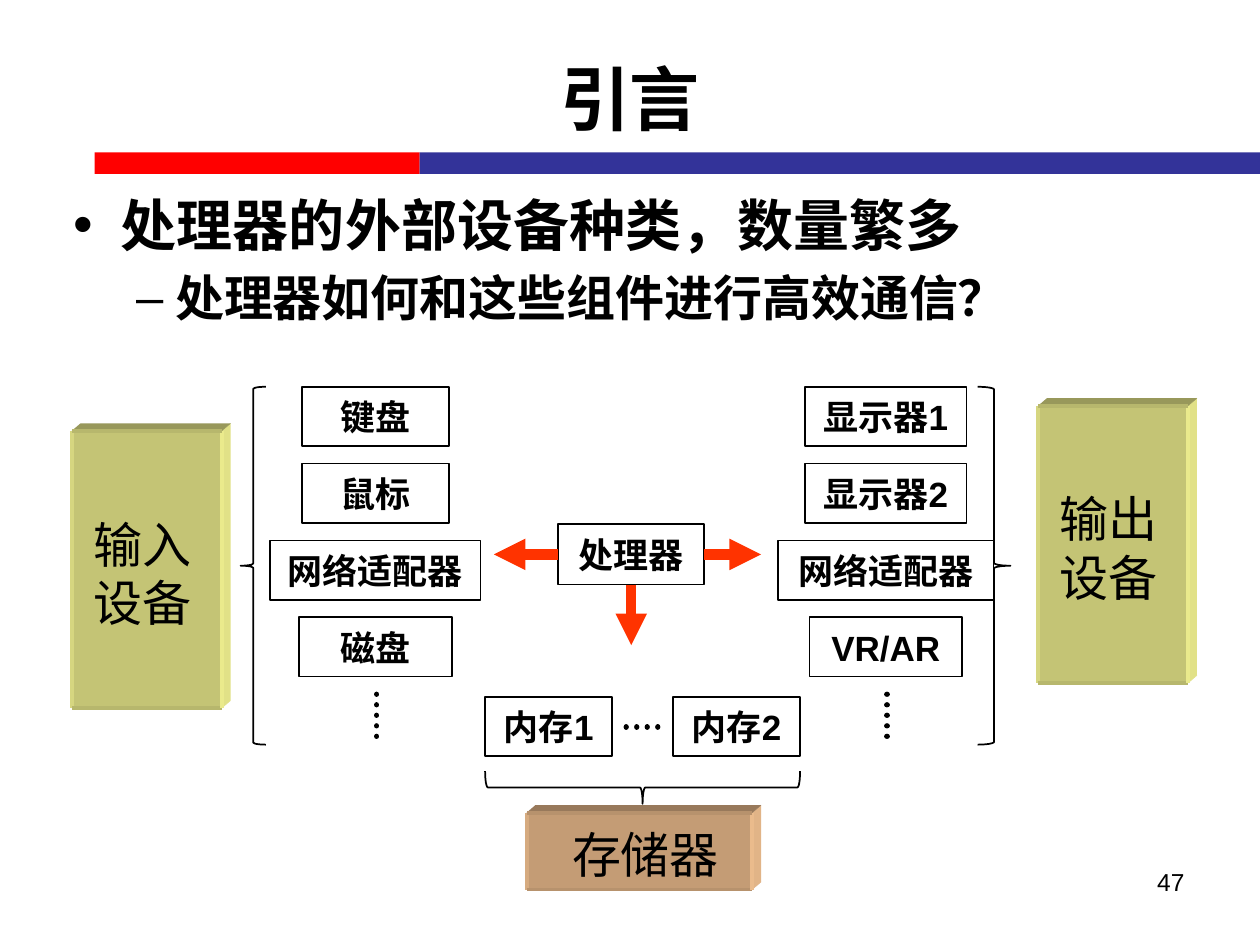
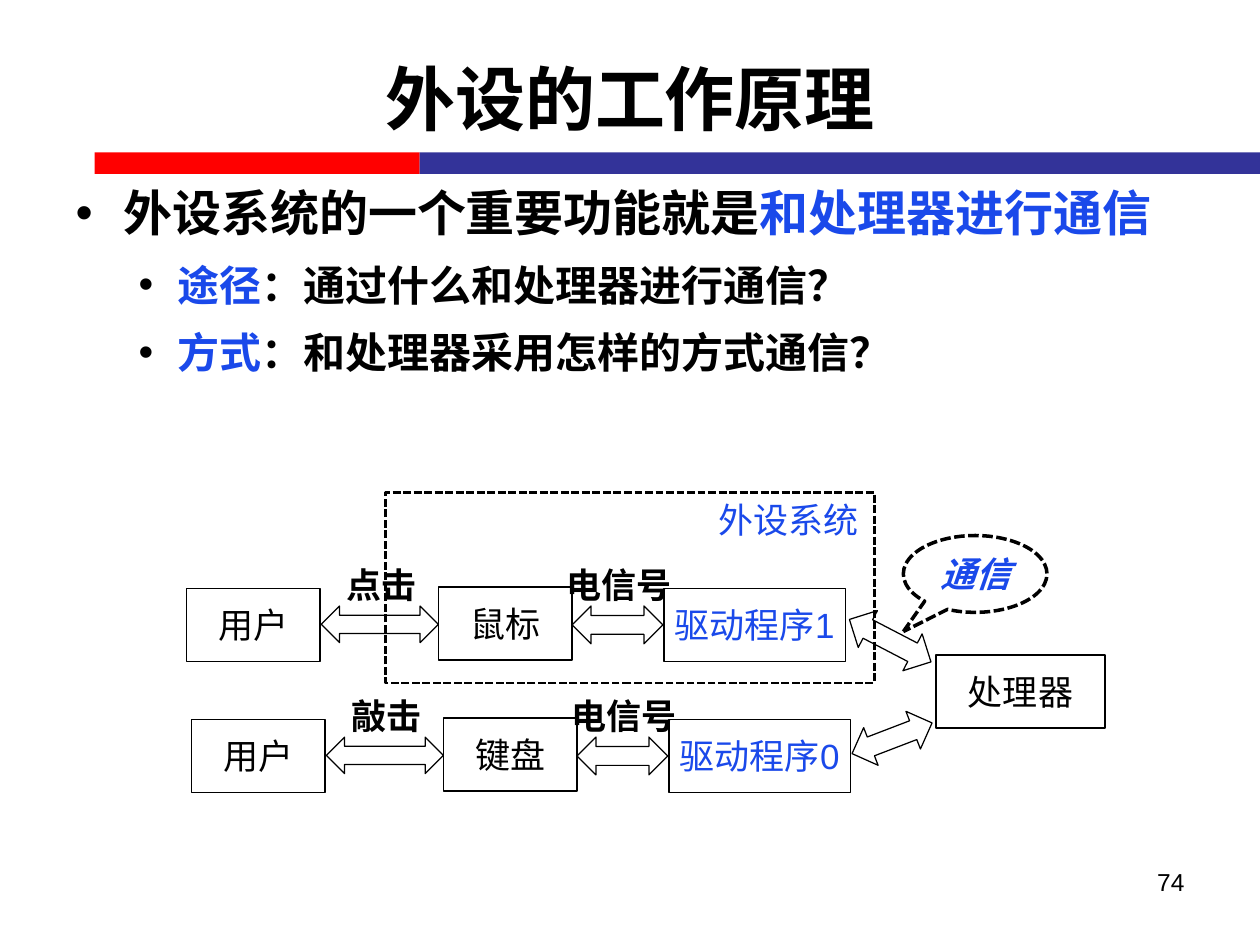
from lxml import etree
from pptx import Presentation
from pptx.dml.color import RGBColor
from pptx.enum.dml import MSO_LINE
from pptx.enum.shapes import MSO_CONNECTOR, MSO_SHAPE
from pptx.enum.text import MSO_ANCHOR, MSO_AUTO_SIZE, PP_ALIGN
from pptx.oxml.ns import qn
from pptx.util import Inches, Pt

RECT = MSO_SHAPE.RECTANGLE
LEFT_BRACE = MSO_SHAPE.LEFT_BRACE
RIGHT_BRACE = MSO_SHAPE.RIGHT_BRACE
DOUBLE_ARROW = MSO_SHAPE.LEFT_RIGHT_ARROW
CALLOUT = MSO_SHAPE.OVAL_CALLOUT
STRAIGHT = MSO_CONNECTOR.STRAIGHT
DOTTED = MSO_LINE.ROUND_DOT
DASHED = MSO_LINE.SQUARE_DOT
LEFT, CENTER, RIGHT = PP_ALIGN.LEFT, PP_ALIGN.CENTER, PP_ALIGN.RIGHT
TOP, MIDDLE = MSO_ANCHOR.TOP, MSO_ANCHOR.MIDDLE
NO_FIT, GROW = MSO_AUTO_SIZE.NONE, MSO_AUTO_SIZE.SHAPE_TO_FIT_TEXT

BLACK = RGBColor(0x00, 0x00, 0x00)
RED = RGBColor(0xFF, 0x00, 0x00)
NAVY = RGBColor(0x33, 0x33, 0x99)
BLUE = RGBColor(0x1A, 0x49, 0xEA)
ORANGE = RGBColor(0xFF, 0x33, 0x00)
OLIVE = {
    "side": RGBColor(0xE1, 0xE1, 0x87),
    "top": RGBColor(0x98, 0x98, 0x5B),
    "front": RGBColor(0xC4, 0xC4, 0x75),
    "left": RGBColor(0xD6, 0xD6, 0x80),
    "edge": RGBColor(0xB7, 0xB7, 0x6D),
    "right": RGBColor(0xEA, 0xEA, 0x8C),
}
TAN = {
    "side": RGBColor(0xE1, 0xB4, 0x87),
    "top": RGBColor(0x98, 0x79, 0x5B),
    "front": RGBColor(0xC4, 0x9C, 0x75),
    "left": RGBColor(0xD6, 0xAB, 0x80),
    "edge": RGBColor(0xB7, 0x92, 0x6D),
    "right": RGBColor(0xEA, 0xBB, 0x8C),
}
LATIN = "Arial"
CJK = "Noto Sans CJK SC"


class Deck:
    """Holds the shared style and the slide being built."""

    def __init__(self):
        """Start an empty 10 by 7.5 inch presentation."""
        self.prs = Presentation()
        self.prs.slide_width = Inches(10)
        self.prs.slide_height = Inches(7.5)
        self.s = None

    def slide(self, title, number):
        """Add a slide with its bands, title and number."""
        self.s = self.prs.slides.add_slide(self.prs.slide_layouts[1])
        self.shape(RECT, 0.75, 1.21, 2.58, 0.17, fill=RED)
        self.shape(RECT, 3.33, 1.21, 6.67, 0.17, fill=NAVY)
        sp = self.s.shapes.title
        self.place(sp, 0.5, 0.15, 9, 1.25)
        tf = sp.text_frame
        tf.auto_size, tf.vertical_anchor = NO_FIT, MIDDLE
        tf.paragraphs[0].alignment = CENTER
        self.run(tf.paragraphs[0], title, 40, bold=True)
        self.text(7.17, 6.83, 2.33, 0.52, [number], 14, align=RIGHT, fit=NO_FIT)

    def place(self, sp, x, y, w, h):
        """Move and size a placeholder."""
        sp.left, sp.top, sp.width, sp.height = map(Inches, (x, y, w, h))

    def run(self, p, text, size, color=BLACK, bold=False, italic=False, font=LATIN):
        """Add one formatted run."""
        r = p.add_run()
        r.text = text
        r.font.name, r.font.size = font, Pt(size)
        r.font.bold, r.font.italic = bold, italic
        r.font.color.rgb = color
        ea = etree.SubElement(r.font._element, qn("a:ea"))
        ea.set("typeface", CJK)

    def body(self, x, y, w, h, items, gap):
        """Fill the body placeholder from (level, bullet, size, runs) items."""
        sp = self.s.placeholders[1]
        self.place(sp, x, y, w, h)
        tf = sp.text_frame
        tf.auto_size, tf.vertical_anchor = NO_FIT, TOP
        for i, (level, bullet, size, runs) in enumerate(items):
            p = tf.paragraphs[0] if i == 0 else tf.add_paragraph()
            p.level = level
            p.space_before = Pt(gap if i else 0)
            margin, hang = ((0.38, 0.38), (0.81, 0.31))[level]
            ppr = p._p.get_or_add_pPr()
            ppr.set("marL", str(Inches(margin)))
            ppr.set("indent", str(-Inches(hang)))
            clr = etree.SubElement(ppr, qn("a:buClr"))
            etree.SubElement(clr, qn("a:srgbClr")).set("val", str(BLACK))
            etree.SubElement(ppr, qn("a:buFont")).set("typeface", LATIN)
            etree.SubElement(ppr, qn("a:buChar")).set("char", bullet)
            for text, color in runs:
                self.run(p, text, size, color, bold=True)

    def shape(self, kind, x, y, w, h, fill=None, line=None, dash=None, rot=0):
        """Add a preset shape; line is a width in points."""
        sp = self.s.shapes.add_shape(kind, Inches(x), Inches(y), Inches(w), Inches(h))
        sp.rotation = rot
        self.paint(sp, fill)
        if line:
            sp.line.color.rgb, sp.line.width = BLACK, Pt(line)
            if dash:
                sp.line.dash_style = dash
        return sp

    def paint(self, sp, fill):
        """Fill a shape and clear its outline and shadow."""
        sp.shadow.inherit = False
        sp.line.fill.background()
        if fill is None:
            sp.fill.background()
        else:
            sp.fill.solid()
            sp.fill.fore_color.rgb = fill

    def caption(self, sp, text, **style):
        """Centre a 20 point caption in a shape."""
        tf = sp.text_frame
        tf.word_wrap, tf.vertical_anchor = False, MIDDLE
        p = tf.paragraphs[0]
        p.alignment = CENTER
        self.run(p, text, 20, **style)

    def box(self, x, y, w, h, text, **style):
        """Add an outlined box with a caption."""
        sp = self.shape(RECT, x, y, w, h, line=1)
        self.caption(sp, text, **style)
        return sp

    def text(self, x, y, w, h, lines, size, align=LEFT, inset=True, fit=GROW, **style):
        """Add a text box with one paragraph per line."""
        sp = self.s.shapes.add_textbox(Inches(x), Inches(y), Inches(w), Inches(h))
        tf = sp.text_frame
        tf.word_wrap, tf.auto_size = True, fit
        if not inset:
            tf.margin_left = tf.margin_right = tf.margin_top = tf.margin_bottom = 0
        for i, line in enumerate(lines):
            p = tf.add_paragraph() if i else tf.paragraphs[0]
            p.alignment = align
            self.run(p, line, size, **style)

    def line(self, start, end, color, width):
        """Add a straight line between two points."""
        c = self.s.shapes.add_connector(STRAIGHT, *map(Inches, (*start, *end)))
        c.line.color.rgb, c.line.width = color, Pt(width)
        etree.SubElement(c._element.spPr, qn("a:effectLst"))
        return c

    def dots(self, start, end):
        """Add a dotted ellipsis line."""
        c = self.line(start, end, BLACK, 3)
        c.line.dash_style = DOTTED
        c._element.spPr.find(qn("a:ln")).set("cap", "rnd")

    def arrow(self, box, site, start, end):
        """Add a thick arrow leaving a side of a box."""
        c = self.line(start, end, ORANGE, 6)
        c.begin_connect(box, site)
        ln = c._element.spPr.find(qn("a:ln"))
        etree.SubElement(ln, qn("a:tailEnd")).set("type", "triangle")

    def polygon(self, points, fill):
        """Add a closed filled outline."""
        points = [(Inches(x), Inches(y)) for x, y in points]
        builder = self.s.shapes.build_freeform(*points[0])
        builder.add_line_segments(points[1:], close=True)
        self.paint(builder.convert_to_shape(), fill)

    def block(self, x, y, w, h, colors):
        """Add a block with a lit side, top and edges."""
        dx, dy = 0.07, 0.06
        nw, ne, se, sw = (x, y), (x + w, y), (x + w, y + h), (x, y + h)
        back_nw, back_ne, back_se = [(a + dx, b - dy) for a, b in (nw, ne, se)]
        self.polygon([se, ne, back_ne, back_se], colors["side"])
        self.line(se, back_se, colors["side"], 0.25)
        self.polygon([ne, nw, back_nw, back_ne], colors["top"])
        self.line(ne, back_ne, colors["top"], 0.25)
        self.shape(RECT, x, y, w, h, fill=colors["front"])
        edges = [(nw, sw, "left"), (sw, se, "edge"), (se, ne, "right"), (ne, nw, "edge")]
        for start, end, name in edges:
            self.line(start, end, colors[name], 2.13)

    def device_row(self, x, y, action, device, driver):
        """Add a user, device and driver chain."""
        self.box(x, y, 1.06, 0.58, "用户")
        self.box(x + 2, y - 0.01, 1.06, 0.58, device)
        sp = self.box(x + 3.79, y, 1.44, 0.58, driver, color=BLUE)
        sp.text_frame.margin_left = sp.text_frame.margin_right = 0
        for dx, w, h in ((1.07, 0.93, 0.29), (3.06, 0.72, 0.3)):
            self.shape(DOUBLE_ARROW, x + dx, y + 0.14, w, h, line=0.7)
        for dx, label in ((0, action), (1.89, "电信号")):
            self.text(x + dx, y - 0.25, 3.09, 0.44, [label], 20, align=CENTER, bold=True)


def intro(deck):
    """Build the slide on the processor's devices."""
    deck.slide("引言", "47")
    deck.body(0.48, 1.46, 9, 1.25, [
        (0, "•", 32, [("处理器的外部设备种类，数量繁多", BLACK)]),
        (1, "–", 28, [("处理器如何和这些组件进行高效通信？", BLACK)]),
    ], gap=6)
    columns = [
        (2.98, [("键盘", 1.17), ("鼠标", 1.17), ("网络适配器", 1.67), ("磁盘", 1.21)]),
        (7.03, [("显示器1", 1.28), ("显示器2", 1.28), ("网络适配器", 1.71), ("VR/AR", 1.21)]),
    ]
    for center, devices in columns:
        for i, (name, w) in enumerate(devices):
            deck.box(center - w / 2, 3.07 + 0.61 * i, w, 0.47, name, bold=True)
        deck.dots((center + 0.01, 5.51), (center + 0.01, 5.92))
    for x, name in ((3.85, "内存1"), (5.34, "内存2")):
        deck.box(x, 5.53, 1.01, 0.47, name, bold=True)
    deck.dots((4.97, 5.77), (5.23, 5.77))

    deck.shape(LEFT_BRACE, 1.91, 3.07, 0.2, 2.84, line=1)
    deck.shape(RIGHT_BRACE, 7.76, 3.07, 0.26, 2.84, line=1)
    deck.shape(RIGHT_BRACE, 4.97, 5, 0.26, 2.5, line=1, rot=90)
    for x, y, name in ((0.57, 3.42, "输入"), (8.24, 3.22, "输出")):
        deck.block(x, y, 1.19, 2.2, OLIVE)
        deck.text(x + 0.17, y + 0.66, 0.79, 0.94, [name, "设备"], 28, inset=False, font=CJK)
    deck.block(4.18, 6.45, 1.79, 0.61, TAN)
    deck.text(4.54, 6.54, 1.26, 0.47, ["存储器"], 28, inset=False, font=CJK)

    cpu = deck.box(4.43, 4.16, 1.16, 0.48, "处理器", bold=True)
    deck.arrow(cpu, 1, (4.43, 4.4), (3.92, 4.4))
    deck.arrow(cpu, 3, (5.59, 4.4), (6.04, 4.4))
    deck.arrow(cpu, 2, (5.01, 4.64), (5.01, 5.12))


def principle(deck):
    """Build the slide on how peripherals work."""
    deck.slide("外设的工作原理", "74")
    deck.body(0.5, 1.4, 9, 1.71, [
        (0, "•", 28, [("外设系统的一个重要功能就是", BLACK), ("和处理器进行通信", BLUE)]),
        (1, "•", 24, [("途径", BLUE), ("：通过什么和处理器进行通信？", BLACK)]),
        (1, "•", 24, [("方式", BLUE), ("：和处理器采用怎样的方式通信？", BLACK)]),
    ], gap=10)
    deck.device_row(1.52, 5.71, "敲击", "键盘", "驱动程序0")
    deck.device_row(1.48, 4.67, "点击", "鼠标", "驱动程序1")
    deck.box(7.43, 5.2, 1.34, 0.58, "处理器")
    deck.shape(DOUBLE_ARROW, 6.74, 5.7, 0.68, 0.32, line=0.7, rot=339)
    deck.shape(DOUBLE_ARROW, 6.7, 4.92, 0.73, 0.33, line=0.7, rot=27.5)
    deck.shape(RECT, 3.06, 3.91, 3.88, 1.51, line=1.5, dash=DASHED)
    deck.text(5.6, 3.91, 1.35, 0.44, ["外设系统"], 20, color=BLUE)
    sp = deck.shape(CALLOUT, 7.17, 4.25, 1.14, 0.61, line=2, dash=DASHED)
    sp.adjustments[0], sp.adjustments[1] = -0.5, 0.75
    deck.caption(sp, "通信", color=BLUE, bold=True, italic=True)


def main():
    """Build and save the slides."""
    deck = Deck()
    intro(deck)
    principle(deck)
    deck.prs.save("out.pptx")


if __name__ == "__main__":
    main()
